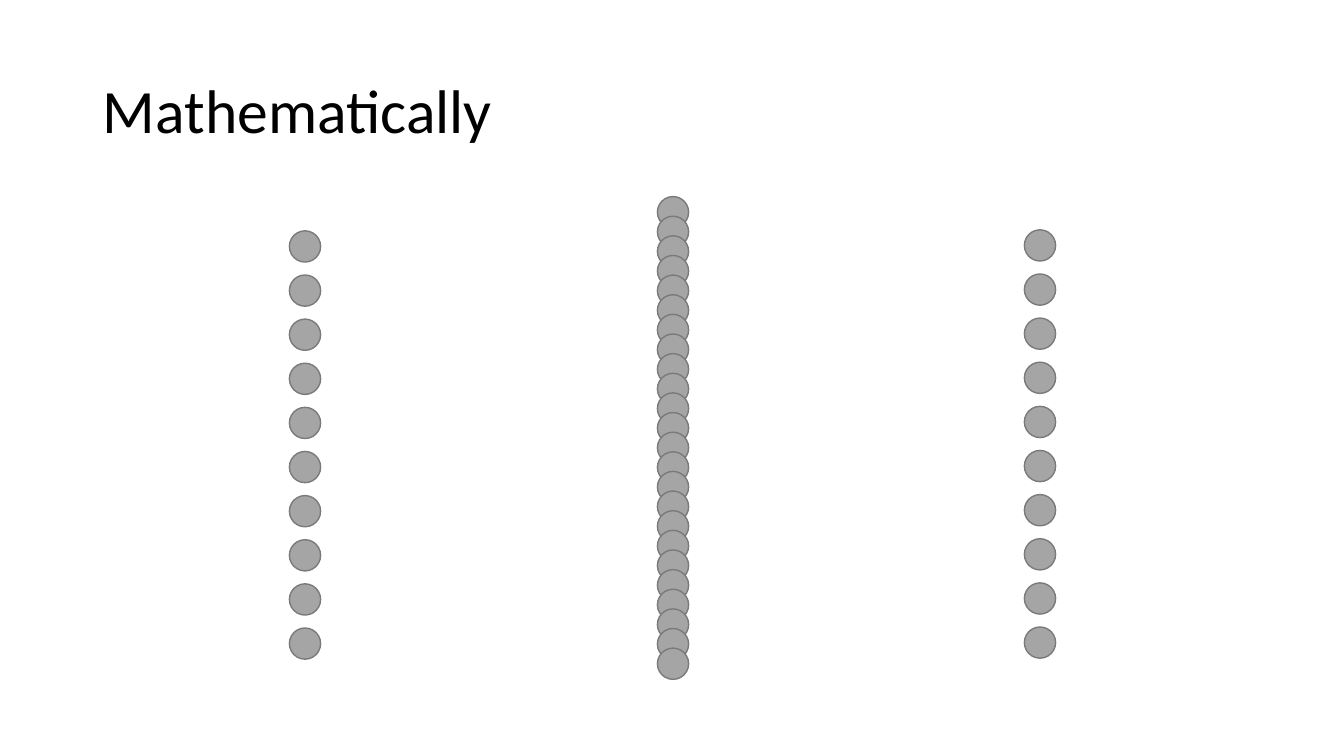
from pptx import Presentation
from pptx import util as u
from pptx.dml.color import RGBColor
from pptx.enum import shapes, text

BLACK = RGBColor(0x00, 0x00, 0x00)
GRAY = RGBColor(0xA5, 0xA5, 0xA5)
EDGE = RGBColor(0x7A, 0x7A, 0x7A)


def write(frame, words, size, color, font="Calibri", align=text.PP_ALIGN.LEFT):
    frame.text = words
    line = frame.paragraphs[0]
    line.alignment = align
    line.line_spacing = 0.9
    line.font.size = u.Pt(size)
    line.font.name = font
    line.font.color.rgb = color


deck = Presentation()
deck.slide_width = u.Inches(13.33)
deck.slide_height = u.Inches(7.5)
slide = deck.slides.add_slide(deck.slide_layouts[5])

title = slide.shapes.title
title.left, title.top = u.Inches(0.92), u.Inches(0.4)
title.width, title.height = u.Inches(11.5), u.Inches(1.45)
title.text_frame.vertical_anchor = text.MSO_ANCHOR.MIDDLE
write(title.text_frame, "Mathematically", size=44, color=BLACK)

size = u.Inches(0.31)
columns = [
    (6.52, 1.95, 6.43, 24),
    (10.16, 2.28, 6.22, 10),
    (2.87, 2.29, 6.23, 10),
]
for left, first, last, count in columns:
    group = slide.shapes.add_group_shape()
    step = (last - first) / (count - 1)
    for row in range(count):
        top = u.Inches(first + row * step)
        dot = group.shapes.add_shape(
            shapes.MSO_SHAPE.OVAL, u.Inches(left), top, size, size)
        dot.shadow.inherit = False
        dot.fill.solid()
        dot.fill.fore_color.rgb = GRAY
        dot.line.color.rgb = EDGE
        dot.line.width = u.Pt(1)

deck.save("out.pptx")
